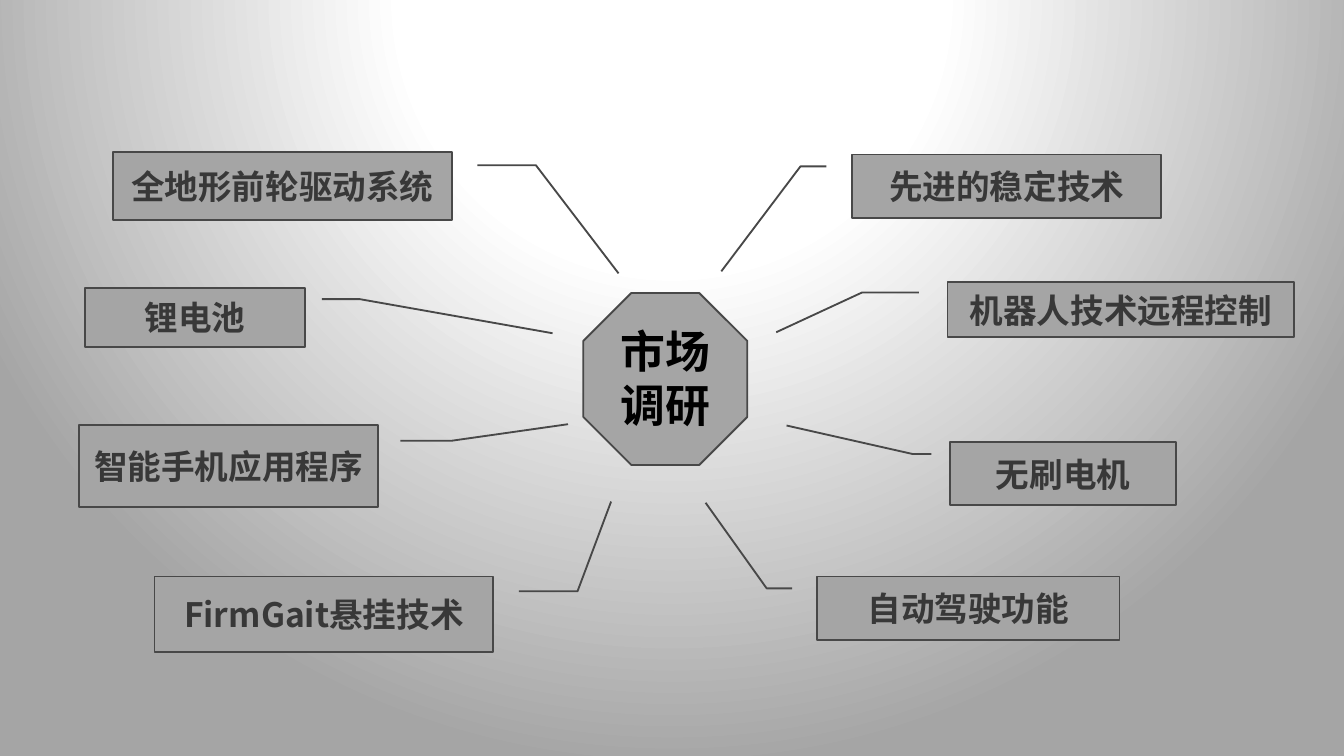
from dataclasses import dataclass

from lxml import etree
from pptx import Presentation
from pptx import util as u
from pptx.dml.color import RGBColor
from pptx.enum import shapes, text
from pptx.oxml import parse_xml
from pptx.oxml.ns import nsdecls, qn


@dataclass(frozen=True)
class Theme:
    font: str = "Noto Sans CJK SC"
    white: str = "FFFFFF"
    gray: str = "A5A5A5"
    border: str = "484848"
    label: str = "383838"
    hub: str = "000000"
    label_size: int = 18
    hub_size: int = 24
    border_width: int = 1


T = Theme()

LEFT_BEND = (0.196, 1.076, 0.196, 1.249)
RIGHT_BEND = (0.188, -0.083, 0.188, -0.167)
WIDE_BEND = (0.188, -0.083, 0.188, -0.247)

CALLOUTS = [
    ("先进的稳定技术", (6.34, 1.15, 2.3, 0.47), RIGHT_BEND, (1.85, -0.423)),
    ("机器人技术远程控制", (7.05, 2.1, 2.58, 0.41), WIDE_BEND, (0.908, -0.494)),
    ("无刷电机", (7.07, 3.29, 1.68, 0.47), RIGHT_BEND, (-0.263, -0.725)),
    ("自动驾驶功能", (6.08, 4.29, 2.25, 0.47), RIGHT_BEND, (-1.168, -0.369)),
    ("全地形前轮驱动系统", (0.84, 1.13, 2.52, 0.51), LEFT_BEND, (1.774, 1.493)),
    ("锂电池", (0.63, 2.14, 1.64, 0.44), LEFT_BEND, (0.772, 2.123)),
    ("智能手机应用程序", (0.59, 3.16, 2.22, 0.61), LEFT_BEND, (-0.006, 1.638)),
    ("FirmGait悬挂技术", (1.15, 4.29, 2.52, 0.56), LEFT_BEND, (-0.997, 1.348)),
]


def inches(box):
    return [u.Inches(v) for v in box]


def write(sp, lines, size, color, align, margin):
    tf = sp.text_frame
    tf.word_wrap = True
    tf.margin_left = tf.margin_right = u.Inches(margin)
    tf.vertical_anchor = text.MSO_ANCHOR.MIDDLE
    for i, line in enumerate(lines):
        p = tf.add_paragraph() if i else tf.paragraphs[0]
        p.alignment = align
        r = p.add_run()
        r.text = line
        r.font.size = u.Pt(size)
        r.font.bold = True
        r.font.name = T.font
        r.font.color.rgb = RGBColor.from_string(color)
        ea = etree.SubElement(r.font._element, qn("a:ea"))
        ea.set("typeface", T.font)


def add_block(slide, kind, box):
    sp = slide.shapes.add_shape(kind, *inches(box))
    sp.shadow.inherit = False
    sp.fill.solid()
    sp.fill.fore_color.rgb = RGBColor.from_string(T.gray)
    sp.line.color.rgb = RGBColor.from_string(T.border)
    sp.line.width = u.Pt(T.border_width)
    return sp


def add_callout(slide, label, box, bend, tip):
    sp = add_block(slide, shapes.MSO_SHAPE.LINE_CALLOUT_2, box)
    for i, value in enumerate(bend + tip):
        sp.adjustments[i] = value
    write(sp, [label], T.label_size, T.label, text.PP_ALIGN.CENTER, margin=0.05)


def add_hub(slide, lines, box):
    add_block(slide, shapes.MSO_SHAPE.OCTAGON, box)
    x, y = box[:2]
    title = slide.shapes.add_textbox(*inches((x + 0.18, y + 0.33, 1.68, 0.6)))
    write(title, lines, T.hub_size, T.hub, text.PP_ALIGN.LEFT, margin=0.1)


def add_background(slide):
    slide.background.fill.gradient()
    grad = slide.element.find(".//" + qn("a:gradFill"))
    stops = "".join(
        f'<a:gs pos="{pos * 1000}"><a:srgbClr val="{color}"/></a:gs>'
        for pos, color in ((0, T.white), (35, T.white), (100, T.gray))
    )
    radial = parse_xml(
        f'<a:gradFill {nsdecls("a")} rotWithShape="1"><a:gsLst>{stops}</a:gsLst>'
        '<a:path path="circle"><a:fillToRect l="50000" t="-80000" r="50000" b="180000"/>'
        "</a:path></a:gradFill>"
    )
    grad.getparent().replace(grad, radial)


def main():
    prs = Presentation()
    prs.slide_width = u.Inches(10)
    prs.slide_height = prs.slide_width * 9 // 16
    slide = prs.slides.add_slide(prs.slide_layouts[6])
    add_background(slide)
    for callout in CALLOUTS:
        add_callout(slide, *callout)
    add_hub(slide, ["市场", "调研"], (4.34, 2.18, 1.22, 1.28))
    prs.save("out.pptx")


if __name__ == "__main__":
    main()
